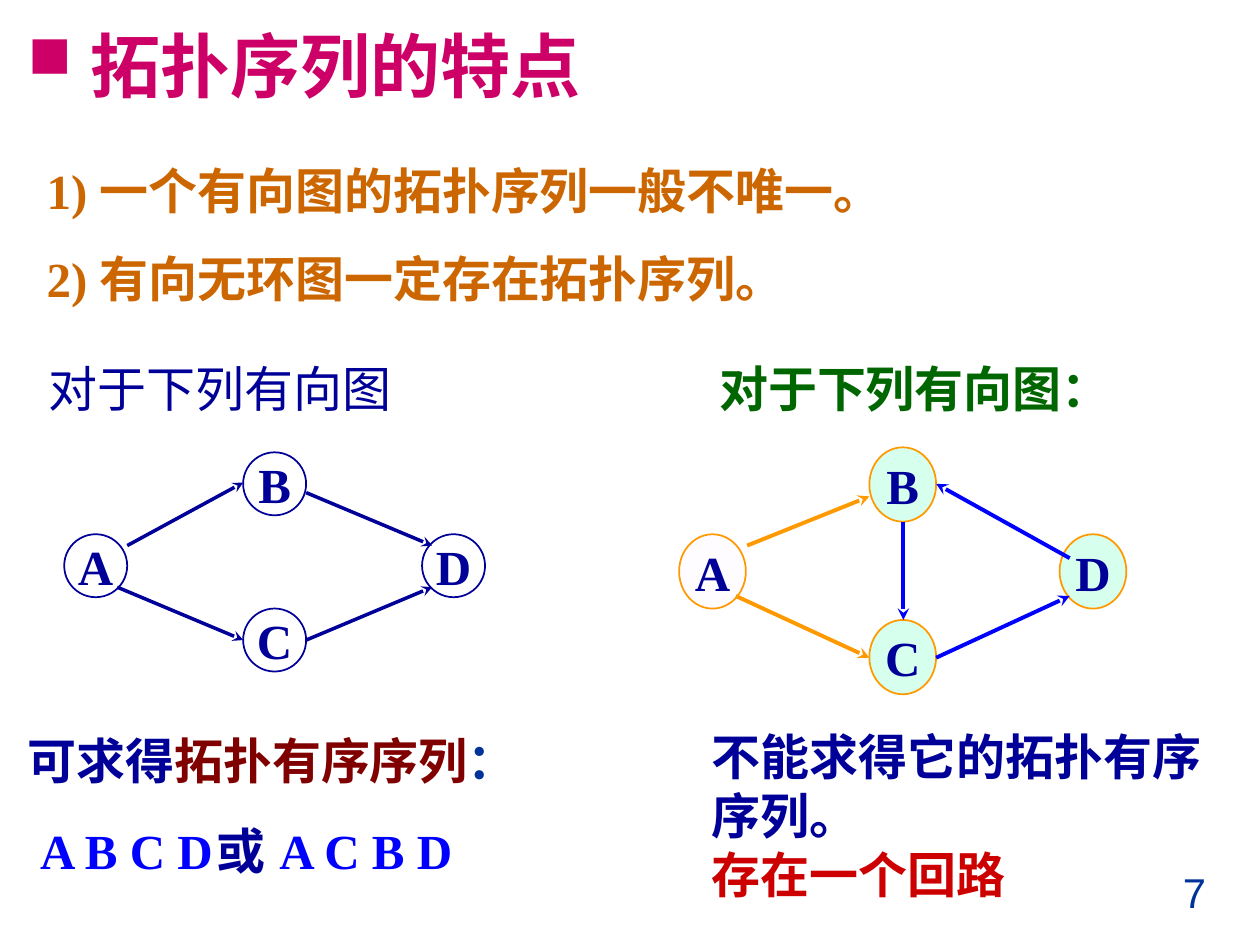
from pptx import Presentation, util as u
from pptx.dml.color import RGBColor
from pptx.enum import shapes, text
from pptx.oxml import parse_xml
from pptx.oxml.ns import nsdecls, qn
from lxml import etree

PX = 9144  # one px is 1/100 inch

THEME = dict(
    serif="Times New Roman", sans="Arial", cjk="Noto Sans CJK SC",
    title=40, body=28, number=23.8,
    navy="000099", blue="0000FF", slate="003399", maroon="800000", red="CC0000",
    green="006600", pink="CC0066", brown="CC6600", orange="FF9900",
    mint="AFFFDF", pale="FFFBFF",
)

# A run is (text, colour) or (text, colour, font); a paragraph is a list of runs.
TITLE = [[("拓扑序列的特点", "pink", "cjk")]]
POINTS = [[("1) 一个有向图的拓扑序列一般不唯一。", "brown")],
          [("2) 有向无环图一定存在拓扑序列。", "brown")]]
CAPTIONS = [
    ((29, 280, 292, 57), [[("对于下列有向图", "navy")]], dict(bold=False)),
    ((561, 280, 330, 57), [[("对于下列有向图：", "green")]], {}),
]
SEQUENCES = [
    [("可求得", "navy"), ("拓扑有序序列", "maroon"), ("：", "slate")],
    [("A B C D", "blue"), ("\t或", "navy"), ("\tA C B D", "blue")],
]
CYCLE = [[("不能求得它的拓扑有序序列。", "navy")],
         [("存在一个回路", "red", "cjk")]]

# nodes: label, left, top, fill; edges: from, to, colour
GRAPHS = [
    dict(size=(50, 50), outline="navy", weight=2,
         nodes=[("B", 193, 359, None), ("D", 335, 424, None),
                ("A", 51, 424, None), ("C", 193, 483, None)],
         edges=[((101, 433), (193, 383), "navy"), ((93, 466), (193, 508), "navy"),
                ((243, 391), (343, 433), "navy"), ((243, 508), (343, 466), "navy")]),
    dict(size=(53, 59), outline="orange", weight=2.25,
         nodes=[("B", 690, 355, "mint"), ("D", 841, 424, "mint"),
                ("A", 539, 424, "pale"), ("C", 690, 492, "mint")],
         edges=[((593, 433), (690, 394), "orange"), ((584, 473), (690, 522), "orange"),
                ((743, 522), (849, 473), "blue"), ((849, 443), (743, 384), "blue"),
                ((717, 414), (717, 492), "blue")]),
]


def px(*values):
    return [v * PX for v in values]


def rgb(name):
    return RGBColor.from_string(THEME[name])


def add_ppr(p, tag, **attrs):
    """Append a child such as a bullet or tab list to the paragraph properties."""
    return etree.SubElement(p._p.get_or_add_pPr(), qn(tag), attrs)


def write(sp, paragraphs, size="body", bold=True, font="serif", wrap=True,
          align=text.PP_ALIGN.LEFT, anchor=text.MSO_ANCHOR.TOP, spacing=1.0,
          gap=0, hang=0, bullet=None):
    tf = sp.text_frame
    frame = dict(word_wrap=wrap, auto_size=text.MSO_AUTO_SIZE.NONE, vertical_anchor=anchor)
    for name, value in frame.items():
        setattr(tf, name, value)
    for i, runs in enumerate(paragraphs):
        p = tf.add_paragraph() if i else tf.paragraphs[0]
        ppr = p._p.get_or_add_pPr()
        ppr.set("marL", str(hang * PX))
        ppr.set("indent", str(-hang * PX))
        if bullet:
            clr = add_ppr(p, "a:buClr")
            etree.SubElement(clr, qn("a:srgbClr"), val=THEME[runs[0][1]])
            add_ppr(p, "a:buSzPct", val="85000")
            add_ppr(p, "a:buChar", char=bullet)
        else:
            add_ppr(p, "a:buNone")
        layout = dict(alignment=align, line_spacing=spacing,
                      space_before=u.Pt(gap if i else 0), space_after=u.Pt(0))
        for name, value in layout.items():
            setattr(p, name, value)
        for content, colour, *own_font in runs:
            r = p.add_run()
            r.text = content
            face = THEME[own_font[0] if own_font else font]
            for name, value in dict(size=u.Pt(THEME[size]), bold=bold, name=face).items():
                setattr(r.font, name, value)
            r.font.color.rgb = rgb(colour)
            r.font._element.find(qn("a:latin")).addnext(
                parse_xml(f'<a:ea {nsdecls("a")} typeface="{THEME["cjk"]}"/>'))
    return tf


def place(sp, left, top, width, height):
    sp.left, sp.top, sp.width, sp.height = px(left, top, width, height)
    return sp


def add_text(s, box, paragraphs, **fmt):
    return write(s.shapes.add_textbox(*px(*box)), paragraphs, **fmt)


def add_node(group, label, left, top, size, fill, outline):
    sp = group.shapes.add_shape(shapes.MSO_SHAPE.OVAL, *px(left, top, *size))
    sp.shadow.inherit = False
    if fill:
        sp.fill.solid()
        sp.fill.fore_color.rgb = rgb(fill)
        clr = sp._element.spPr.find(qn("a:solidFill"))[0]
        etree.SubElement(clr, qn("a:alpha"), val="50000")
    else:
        sp.fill.background()
    sp.line.color.rgb = rgb(outline)
    sp.line.width = u.Pt(1)
    write(sp, [[(label, "navy")]], wrap=False,
          align=text.PP_ALIGN.CENTER, anchor=text.MSO_ANCHOR.MIDDLE)


def add_edge(group, start, end, colour, weight):
    line = group.shapes.add_connector(shapes.MSO_CONNECTOR.STRAIGHT, *px(*start, *end))
    line.line.color.rgb = rgb(colour)
    line.line.width = u.Pt(weight)
    etree.SubElement(line.line._get_or_add_ln(), qn("a:tailEnd"), type="stealth")
    etree.SubElement(line._element.spPr, qn("a:effectLst"))


def add_graph(s, graph):
    group = s.shapes.add_group_shape()
    for label, left, top, fill in graph["nodes"]:
        add_node(group, label, left, top, graph["size"], fill, graph["outline"])
    for start, end, colour in graph["edges"]:
        add_edge(group, start, end, colour, graph["weight"])


def main():
    prs = Presentation()
    prs.slide_width, prs.slide_height = px(1000, 750)
    s = prs.slides.add_slide(prs.slide_layouts[1])
    for sp in list(s.placeholders)[2:]:
        sp._element.getparent().remove(sp._element)

    write(place(s.shapes.title, 12, 13, 583, 77), TITLE,
          size="title", hang=50, bullet="■")
    write(place(s.placeholders[1], 27, 99, 898, 150), POINTS, spacing=1.5, hang=50)
    for box, paragraphs, fmt in CAPTIONS:
        add_text(s, box, paragraphs, wrap=False, **fmt)
    for graph in GRAPHS:
        add_graph(s, graph)

    tf = add_text(s, (12, 575, 496, 128), SEQUENCES, gap=17.5)
    orders = tf.paragraphs[1]
    orders._p.pPr.set("indent", str(10 * PX))
    tabs = add_ppr(orders, "a:tabLst")
    for stop in (175, 241):
        etree.SubElement(tabs, qn("a:tab"), pos=str(stop * PX), algn="l")

    add_text(s, (555, 572, 409, 150), CYCLE)
    add_text(s, (717, 683, 250, 52), [[("7", "slate")]], size="number",
             font="sans", bold=False, align=text.PP_ALIGN.RIGHT)
    prs.save("out.pptx")


if __name__ == "__main__":
    main()
